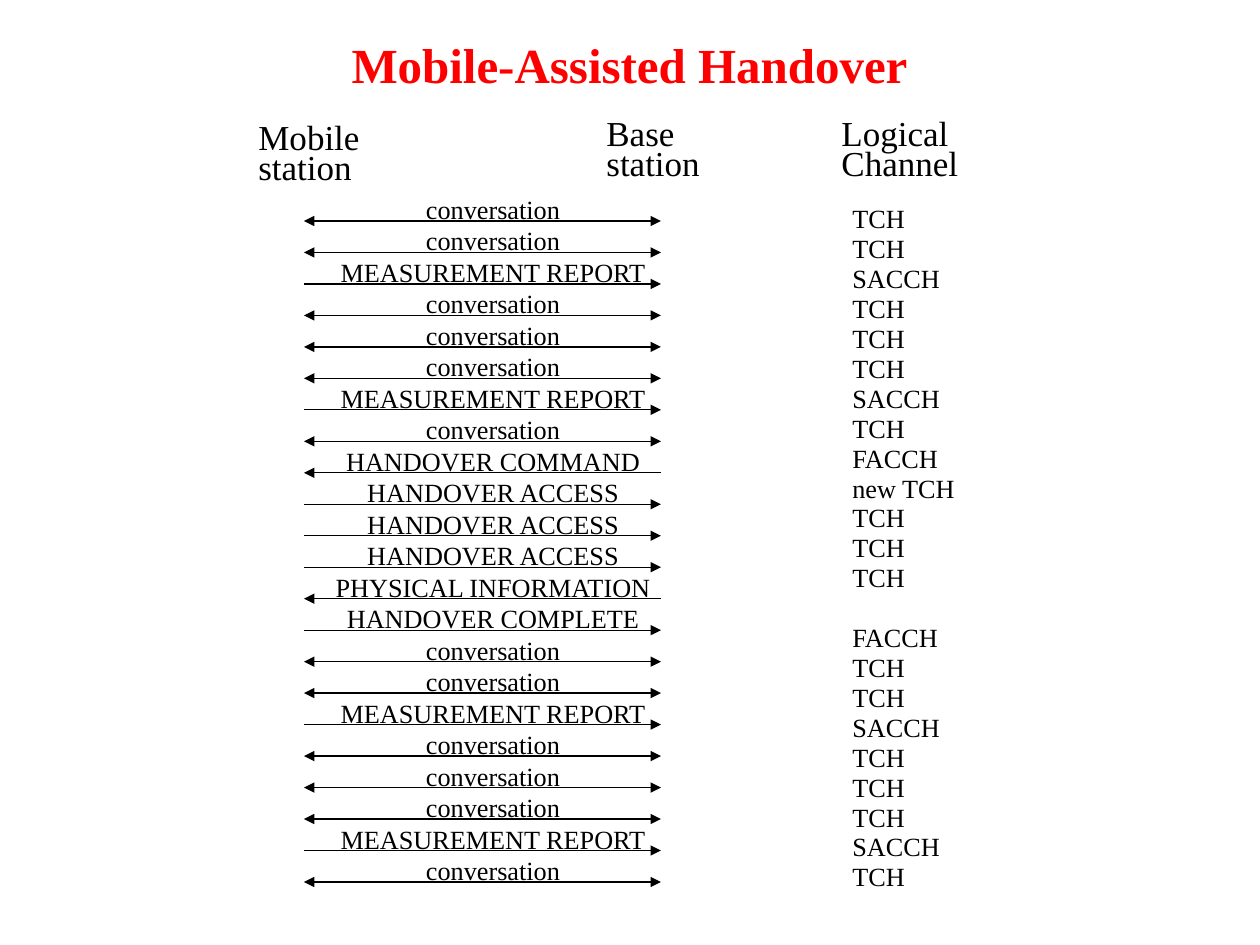
from lxml import etree
from pptx import Presentation
from pptx.dml.color import RGBColor
from pptx.enum.shapes import MSO_CONNECTOR
from pptx.enum.text import MSO_ANCHOR, PP_ALIGN
from pptx.oxml.ns import qn
from pptx.util import Emu, Pt

LEFT, CENTER = PP_ALIGN.LEFT, PP_ALIGN.CENTER
TOP, MIDDLE = MSO_ANCHOR.TOP, MSO_ANCHOR.MIDDLE
STRAIGHT = MSO_CONNECTOR.STRAIGHT
SCALE = 914400 / 126
FONT = "Times New Roman"
BLACK, RED = "000000", "FF0000"

TALK = ("conversation", "both", "TCH")
REPORT = ("MEASUREMENT REPORT", "right", "SACCH")
CYCLE = [TALK, TALK, REPORT, TALK, TALK, TALK, REPORT, TALK]
ACCESS = "HANDOVER ACCESS"
SWITCH = [
    ("HANDOVER COMMAND", "left", "FACCH"),
    (ACCESS, "right", "new TCH"),
    (ACCESS, "right", "TCH"),
    (ACCESS, "right", "TCH"),
    ("PHYSICAL INFORMATION", "left", "TCH"),
    ("HANDOVER COMPLETE", "right", "FACCH"),
]
STEPS = CYCLE + SWITCH + CYCLE
HEADS = [
    ("Mobile", "station", 246, 121, 126),
    ("Base", "station", 594, 117, 118),
    ("Logical", "Channel", 829, 117, 142),
]
ENDS = {
    "left": ["headEnd"],
    "right": ["tailEnd"],
    "both": ["headEnd", "tailEnd"],
}


def px(count):
    return Emu(round(count * SCALE))


def color(code):
    return RGBColor.from_string(code)


def add_text(slide, lines, box, size, pitch, align=LEFT, anchor=TOP,
             tint=BLACK, bold=False):
    frame = slide.shapes.add_textbox(*map(px, box)).text_frame
    frame.word_wrap = False
    frame.vertical_anchor = anchor
    if align == LEFT:
        frame.margin_right = 0
    style = {"name": FONT, "size": Pt(size), "bold": bold}
    for index, line in enumerate(lines):
        para = frame.add_paragraph() if index else frame.paragraphs[0]
        para.alignment = align
        para.line_spacing = Pt(pitch)
        run = para.add_run()
        run.text = line
        for key, value in style.items():
            setattr(run.font, key, value)
        run.font.color.rgb = color(tint)
    return frame


def add_arrow(slide, y, way):
    arrow = slide.shapes.add_connector(STRAIGHT, px(304), y, px(661), y)
    arrow.line.color.rgb = color(BLACK)
    arrow.line.width = Pt(0.75)
    props = arrow.line._get_or_add_ln()
    for end in ENDS[way]:
        etree.SubElement(props, qn("a:" + end), type="triangle")
    etree.SubElement(arrow._element.spPr, qn("a:effectLst"))


def add_flow(slide, steps):
    first, last = px(221), px(882)
    gap = (last - first) / (len(steps) - 1)
    for row, (_, way, _) in enumerate(steps):
        add_arrow(slide, Emu(round(first + row * gap)), way)
    names, _, codes = zip(*steps)
    frame = add_text(slide, codes, (840, 198, 127, 700), 15, 17.1)
    done = names.index("HANDOVER COMPLETE")
    frame.paragraphs[done].space_before = Pt(17.1)
    add_text(slide, names, (321, 187, 344, 706), 15, 18, CENTER)


def main():
    deck = Presentation()
    deck.slide_width, deck.slide_height = px(1260), px(945)
    slide = deck.slides.add_slide(deck.slide_layouts[6])
    add_text(slide, ["Mobile-Assisted Handover"], (94, 21, 1071, 95),
             28, 28.5, CENTER, MIDDLE, RED, True)
    for upper, lower, x, y, width in HEADS:
        add_text(slide, [upper, lower], (x, y, width, 72), 20, 17.1)
    add_flow(slide, STEPS)
    deck.save("out.pptx")


if __name__ == "__main__":
    main()
